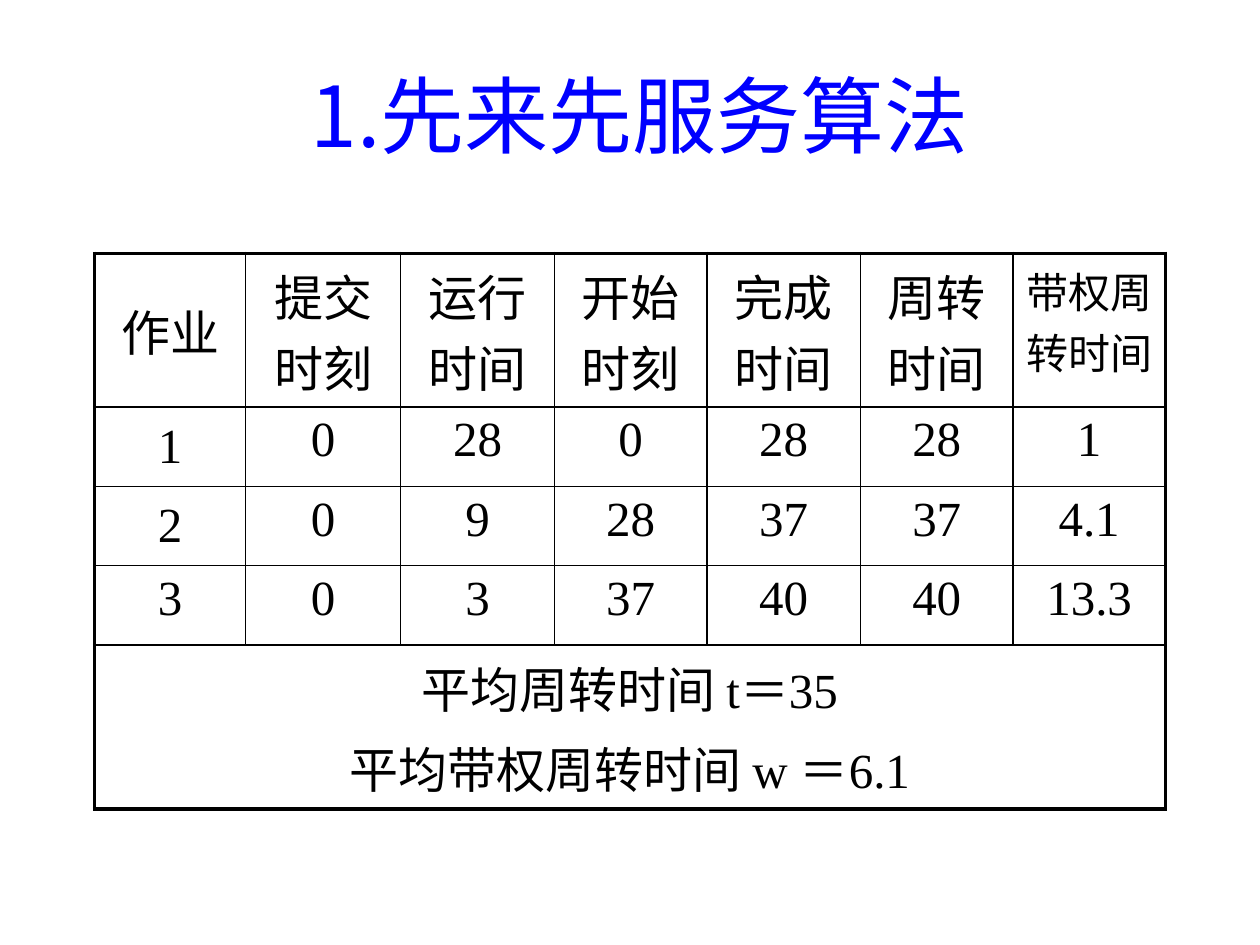
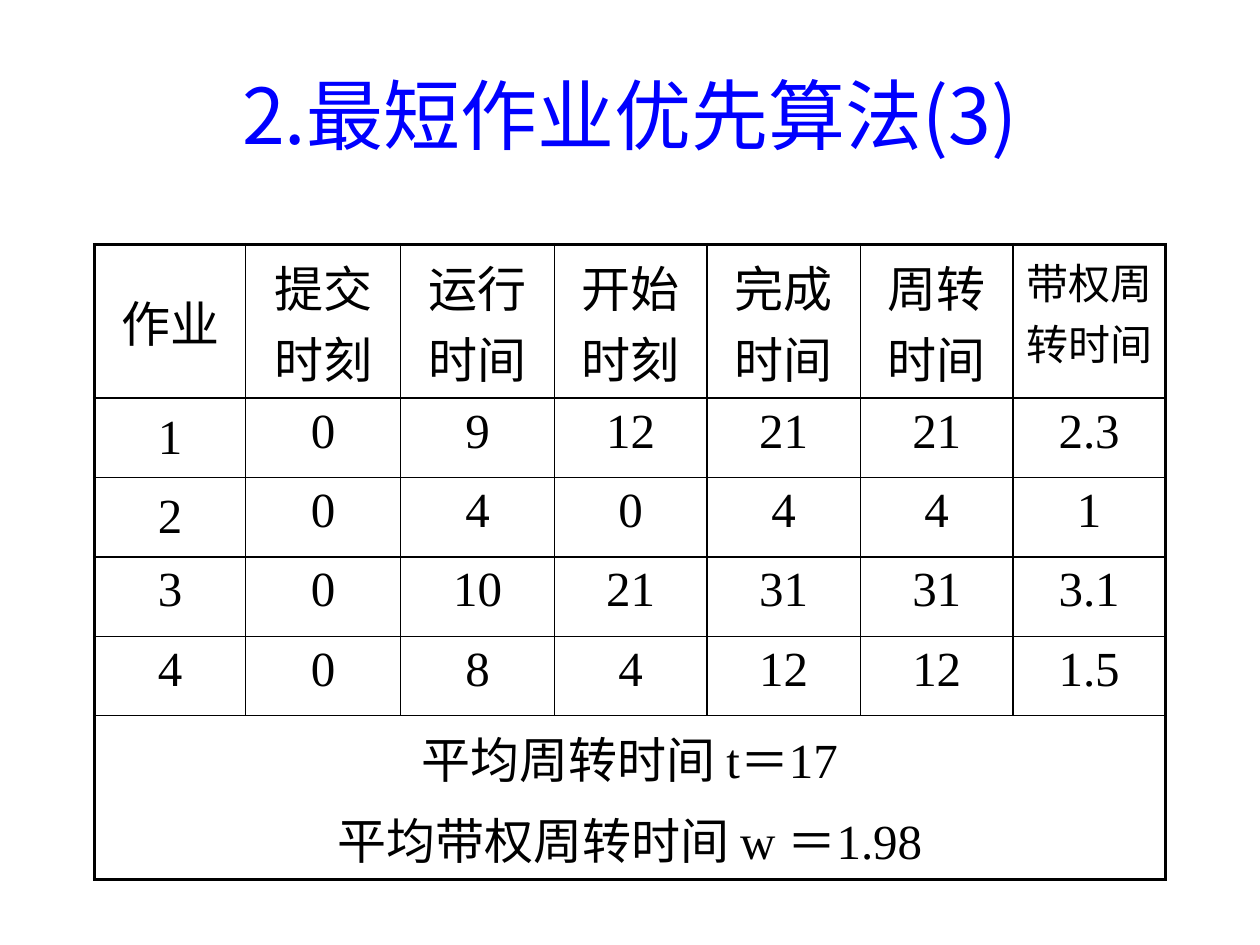
import pptx
import pptx.util
import pptx.dml.color
import pptx.enum.text
import pptx.oxml
import pptx.oxml.ns
import lxml.etree

Inches, Pt = pptx.util.Inches, pptx.util.Pt
ANCHOR = pptx.enum.text.MSO_ANCHOR
qn = pptx.oxml.ns.qn

# Shared look
HUES = {"title": "0000FF", "text": "000000", "line": "000000"}
SANS, SERIF = "Noto Sans CJK JP", "Times New Roman"
LEFT, WIDTH = 0.75, 8.5
THIN, THICK = 1, 2.25

# Shared table grid; the head row holds two full lines of text
HEADS = ["作业", "提交时刻", "运行时间", "开始时刻",
         "完成时间", "周转时间", "带权周转时间"]
COLS = [1.2, 1.23, 1.22, 1.21, 1.22, 1.21, 1.21]
HEAD_H, JOB_H, MEAN_H = 1.22, 0.63, 1.3


def style(para, size, face, hue):
    """Centre a paragraph and set its font."""
    para.alignment = pptx.enum.text.PP_ALIGN.CENTER
    font = para.font
    font.size = Pt(size)
    font.bold = False
    font.color.rgb = pptx.dml.color.RGBColor.from_string(HUES[hue])
    font.name = face
    # East Asian glyphs take the sans face
    rpr = para._p.pPr.find(qn("a:defRPr"))
    lxml.etree.SubElement(rpr, qn("a:ea")).set("typeface", SANS)


def lead(para, share):
    """Space before a paragraph, as a percentage of the line."""
    gap = pptx.oxml.parse_xml(
        f'<a:spcBef {pptx.oxml.ns.nsdecls("a")}>'
        f'<a:spcPct val="{share * 1000}"/></a:spcBef>')
    para._p.pPr.insert(0, gap)


def add_title(slide, text, size):
    box = slide.shapes.add_textbox(
        Inches(LEFT), Inches(0.28), Inches(WIDTH), Inches(1.25))
    frame = box.text_frame
    frame.word_wrap = True
    frame.vertical_anchor = ANCHOR.MIDDLE
    frame.text = text
    style(frame.paragraphs[0], size, SANS, "title")


def edge(cell, sides):
    """Draw cell borders; sides maps L, R, T, B to widths in points."""
    props = cell._tc.get_or_add_tcPr()
    for side, width in sides.items():
        props.append(pptx.oxml.parse_xml(
            f'<a:ln{side} {pptx.oxml.ns.nsdecls("a")} w="{Pt(width)}">'
            f'<a:solidFill><a:srgbClr val="{HUES["line"]}"/></a:solidFill>'
            f'</a:ln{side}>'))


def fill_cell(cell, text, size=28):
    cell.text = text
    for para in cell.text_frame.paragraphs:
        style(para, size, SERIF, "text")
        lead(para, 20)


def add_grid(slide, top, jobs, means):
    """Table with a head row, one row per job and a merged row of means."""
    highs = [HEAD_H] + [JOB_H] * len(jobs) + [MEAN_H]
    end, last = len(highs) - 1, len(COLS) - 1
    table = slide.shapes.add_table(
        len(highs), len(COLS), Inches(LEFT), Inches(top),
        Inches(WIDTH), Inches(sum(highs))).table
    table.first_row = table.horz_banding = False
    for col, width in zip(table.columns, COLS):
        col.width = Inches(width)
    for row, high in zip(table.rows, highs):
        row.height = Inches(high)

    # Heads and jobs
    for r, row in enumerate([HEADS] + jobs):
        for c, text in enumerate(row):
            cell = table.cell(r, c)
            fill_cell(cell, text, 24 if (r, c) == (0, last) else 28)
            if c == 0 and r < 3:
                cell.vertical_anchor = ANCHOR.MIDDLE

    # Means
    foot = table.cell(end, 0)
    foot.merge(table.cell(end, last))
    fill_cell(foot, f"平均周转时间 t＝{means[0]}\n平均带权周转时间 w ＝{means[1]}")

    # Thick frame, thin inner lines
    for r in range(end + 1):
        for c in range(last + 1):
            cell = table.cell(r, c)
            rim = {"L": c == 0, "R": c == last or r == end,
                   "T": r == 0, "B": r == end}
            edge(cell, {s: THICK if out else THIN for s, out in rim.items()})
            cell.fill.background()


def main():
    deck = pptx.Presentation()
    deck.slide_width, deck.slide_height = Inches(10), Inches(7.5)
    blank = deck.slide_layouts[6]

    # First come, first served
    slide = deck.slides.add_slide(blank)
    add_title(slide, " 1.先来先服务算法", 48)
    add_grid(slide, 2.01, [
        ["1", "0", "28", "0", "28", "28", "1"],
        ["2", "0", "9", "28", "37", "37", "4.1"],
        ["3", "0", "3", "37", "40", "40", "13.3"],
    ], ("35", "6.1"))

    # Shortest job first
    slide = deck.slides.add_slide(blank)
    add_title(slide, "2.最短作业优先算法(3)", 44)
    add_grid(slide, 1.94, [
        ["1", "0", "9", "12", "21", "21", "2.3"],
        ["2", "0", "4", "0", "4", "4", "1"],
        ["3", "0", "10", "21", "31", "31", "3.1"],
        ["4", "0", "8", "4", "12", "12", "1.5"],
    ], ("17", "1.98"))

    deck.save("out.pptx")


main()
